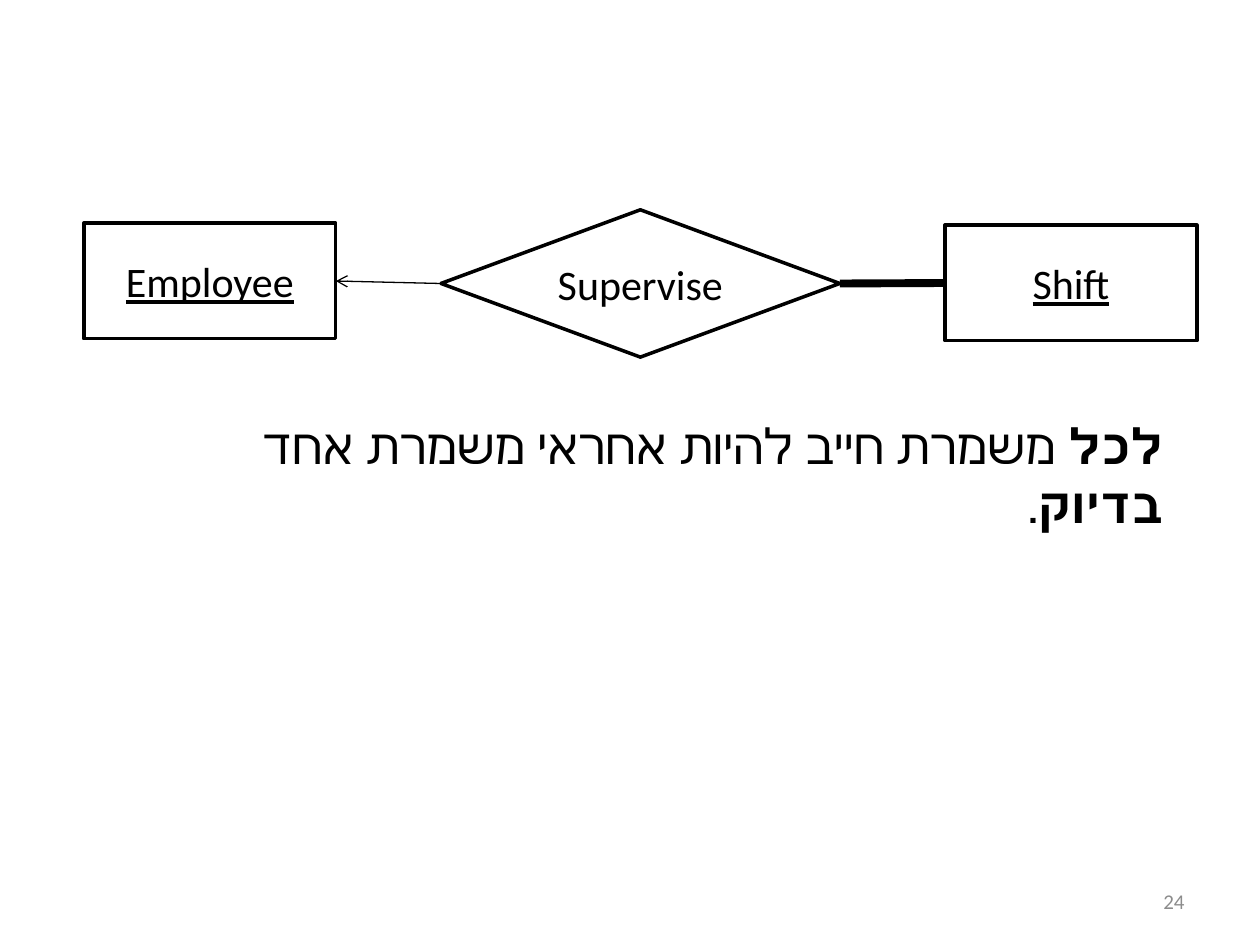
"""Build a slide with an entity-relationship diagram of employees supervising shifts."""
from lxml import etree
from pptx import Presentation
from pptx import util as u
from pptx.dml.color import RGBColor
from pptx.enum import shapes, text
from pptx.oxml import ns

BLACK = RGBColor(0, 0, 0)
GRAY = RGBColor(0x8C, 0x8C, 0x8C)
KIND = shapes.MSO_SHAPE
ALIGN = text.PP_ALIGN


def write(shape, runs, size=24, color=BLACK, align=ALIGN.CENTER,
          anchor=text.MSO_ANCHOR.MIDDLE, under=False, rtl=False):
    frame = shape.text_frame
    frame.word_wrap = True
    frame.vertical_anchor = anchor
    para = frame.paragraphs[0]
    para.alignment = align
    if rtl:
        para._p.get_or_add_pPr().set("rtl", "1")
    for words, bold in runs:
        run = para.add_run()
        run.text = words
        font = run.font
        font.name, font.size, font.bold = "Calibri", u.Pt(size), bold
        font.underline = under
        font.color.rgb = color


deck = Presentation()
deck.slide_width, deck.slide_height = u.Cm(25.4), u.Cm(19.05)
slide = deck.slides.add_slide(deck.slide_layouts[6])

number = slide.shapes.add_textbox(u.Cm(18.2), u.Cm(17.66), u.Cm(5.93), u.Cm(1.01))
write(number, [("24", False)], size=12, color=GRAY, align=ALIGN.RIGHT)

nodes = {}
for name, kind, left, top, width, height in [
    ("Employee", KIND.RECTANGLE, 1.69, 4.5, 5.08, 2.33),
    ("Shift", KIND.RECTANGLE, 19.05, 4.54, 5.08, 2.33),
    ("Supervise", KIND.FLOWCHART_DECISION, 8.89, 4.23, 8.04, 2.97),
]:
    node = slide.shapes.add_shape(kind, u.Cm(left), u.Cm(top), u.Cm(width), u.Cm(height))
    node.shadow.inherit = False
    node.fill.background()
    node.line.color.rgb = BLACK
    node.line.width = u.Pt(2)
    write(node, [(name, False)], under=kind == KIND.RECTANGLE)
    nodes[name] = node

for side, goal, goal_side, weight, arrow in [
    (1, "Employee", 3, 0.75, True),
    (3, "Shift", 1, 4.5, False),
]:
    link = slide.shapes.add_connector(shapes.MSO_CONNECTOR.STRAIGHT, 0, 0, 0, 0)
    link.begin_connect(nodes["Supervise"], side)
    link.end_connect(nodes[goal], goal_side)
    link.line.color.rgb = BLACK
    link.line.width = u.Pt(weight)
    if arrow:
        etree.SubElement(link.line._get_or_add_ln(), ns.qn("a:tailEnd"), type="arrow")
    etree.SubElement(link._element.spPr, ns.qn("a:effectLst"))

rule = slide.shapes.add_textbox(u.Cm(2.54), u.Cm(8.26), u.Cm(21.16), u.Cm(1.45))
write(rule, [("לכל ", True), ("משמרת חייב להיות אחראי משמרת אחד ", False),
             ("בדיוק", True), (".", False)],
      size=28, align=ALIGN.RIGHT, anchor=text.MSO_ANCHOR.TOP, rtl=True)

deck.save("out.pptx")
